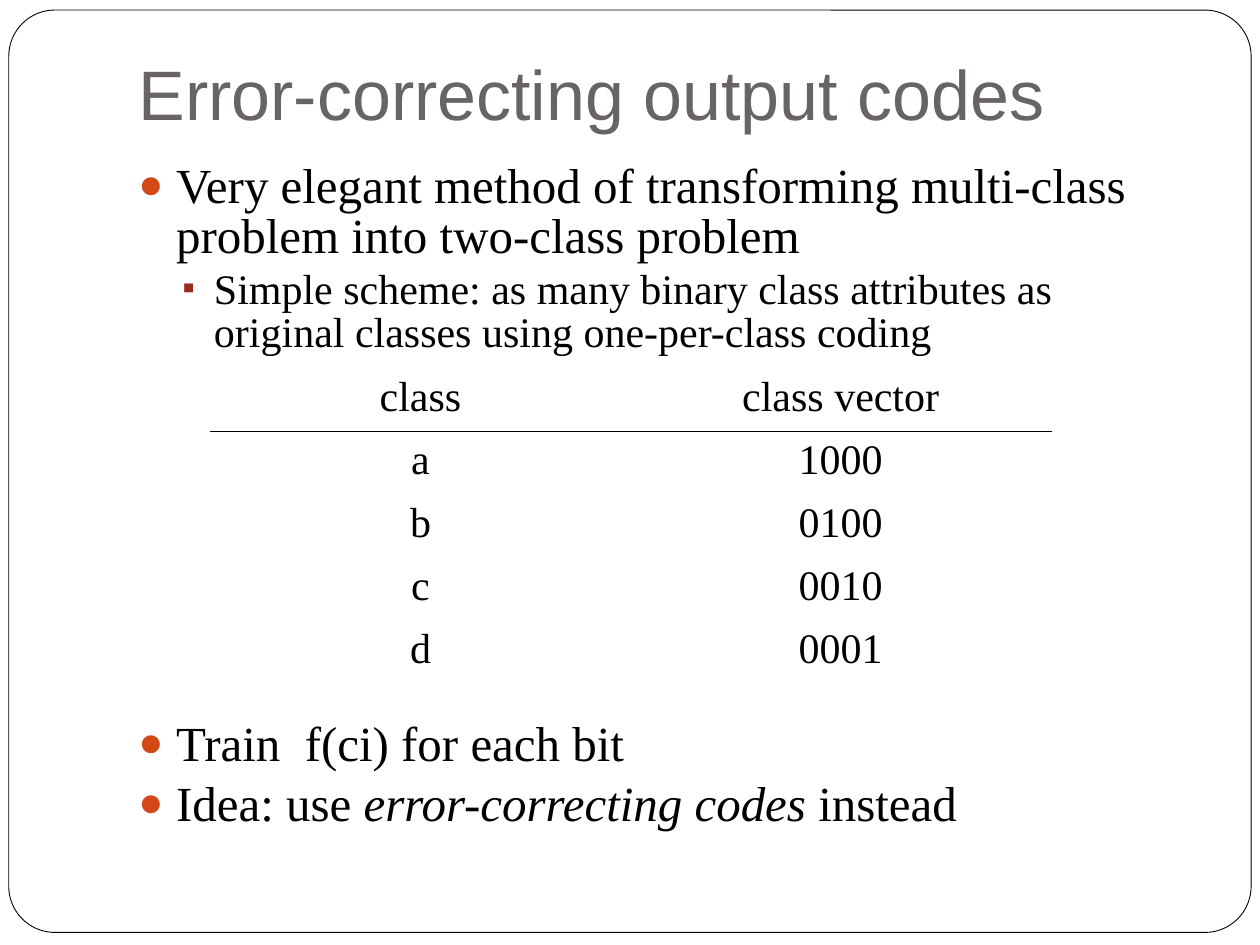
from lxml.etree import SubElement
from pptx import Presentation
from pptx.dml.color import RGBColor
from pptx.enum.shapes import MSO_SHAPE as Shape
from pptx.enum.text import MSO_ANCHOR as Anchor, MSO_AUTO_SIZE as AutoSize, PP_ALIGN as Align
from pptx.oxml.ns import qn
from pptx.util import Inches, Pt

COLORS = {
    "paper": "FFFFFF",
    "ink": "000000",
    "title": "696464",
    "disc": "D34817",
    "square": "9B2D1F",
}
SERIF = "Times New Roman"
CODES = [
    ("class", "class vector"),
    ("a", "1000"),
    ("b", "0100"),
    ("c", "0010"),
    ("d", "0001"),
]


def rgb(name):
    return RGBColor.from_string(COLORS[name])


def write(paragraph, text, *, size=28, font=SERIF, color="ink", italic=False,
          align=Align.LEFT, before=0, spacing=1.0):
    paragraph.alignment = align
    paragraph.space_before = Pt(before)
    paragraph.line_spacing = spacing
    run = paragraph.add_run()
    run.text = text
    run.font.size = Pt(size)
    run.font.name = font
    run.font.italic = italic
    run.font.color.rgb = rgb(color)


def set_bullet(paragraph, mark, color, indent, hanging):
    props = paragraph._p.get_or_add_pPr()
    props.set("marL", str(Inches(indent)))
    props.set("indent", str(-Inches(hanging)))
    bullet_color = SubElement(props, qn("a:buClr"))
    SubElement(bullet_color, qn("a:srgbClr"), val=COLORS[color])
    SubElement(props, qn("a:buSzPct"), val="85000")
    SubElement(props, qn("a:buFont"), typeface=SERIF)
    SubElement(props, qn("a:buChar"), char=mark)


def add_frame(slide):
    frame = slide.shapes.add_shape(
        Shape.ROUNDED_RECTANGLE, Inches(0.07), Inches(0.08), Inches(9.86), Inches(7.32))
    frame.adjustments[0] = 0.05
    frame.shadow.inherit = False
    frame.fill.solid()
    frame.fill.fore_color.rgb = rgb("paper")
    frame.line.color.rgb = rgb("ink")
    frame.line.width = Pt(0.5)
    slide.shapes._spTree.insert(2, frame._element)


def add_title(slide, text):
    title = slide.shapes.title
    title.left, title.top = Inches(1), Inches(0.3)
    title.width, title.height = Inches(8.5), Inches(0.87)
    title.text_frame.auto_size = AutoSize.NONE
    title.text_frame.vertical_anchor = Anchor.BOTTOM
    title.text_frame.margin_bottom = Inches(0.1)
    write(title.text_frame.paragraphs[0], text, size=40, font="Arial", color="title")


def add_points(slide):
    body = slide.shapes.add_textbox(Inches(1), Inches(1.25), Inches(8.5), Inches(5.33))
    frame = body.text_frame
    frame.word_wrap = True
    main_point = {"size": 28, "before": 5.8, "spacing": 0.85}
    sub_point = {"size": 24, "before": 3.7, "spacing": 0.85}
    after_table = {**main_point, "before": 209}

    method = frame.paragraphs[0]
    write(method, "Very elegant method of transforming multi-class problem "
                  "into two-class problem", **main_point)
    scheme = frame.add_paragraph()
    scheme.level = 1
    write(scheme, "Simple scheme: as many binary class attributes as original "
                  "classes using one-per-class coding", **sub_point)
    training = frame.add_paragraph()
    write(training, "Train  f(ci) for each bit", **after_table)
    idea = frame.add_paragraph()
    write(idea, "Idea: use ", **main_point)
    write(idea, "error-correcting codes", italic=True, **main_point)
    write(idea, " instead", **main_point)

    for point in (method, training, idea):
        set_bullet(point, "●", "disc", 0.3, 0.3)
    set_bullet(scheme, "▪", "square", 0.6, 0.25)


def add_rule(cell, side):
    rule = SubElement(cell._tc.get_or_add_tcPr(), qn(f"a:{side}"), w=str(Pt(0.45)))
    fill = SubElement(rule, qn("a:solidFill"))
    SubElement(fill, qn("a:srgbClr"), val=COLORS["ink"])


def add_code_table(slide):
    table = slide.shapes.add_table(
        len(CODES), 2, Inches(1.67), Inches(2.92), Inches(6.67), Inches(2.5)).table
    table.first_row = False
    table.horz_banding = False
    for row, values in enumerate(CODES):
        for column, value in enumerate(values):
            cell = table.cell(row, column)
            if row < 2:
                add_rule(cell, "lnT" if row else "lnB")
            cell.fill.background()
            write(cell.text_frame.paragraphs[0], value, size=24,
                  align=Align.CENTER, before=6)


def main():
    deck = Presentation()
    deck.slide_width, deck.slide_height = Inches(10), Inches(7.5)
    slide = deck.slides.add_slide(deck.slide_layouts[5])
    add_frame(slide)
    add_title(slide, "Error-correcting output codes")
    add_points(slide)
    add_code_table(slide)
    deck.save("out.pptx")


if __name__ == "__main__":
    main()
